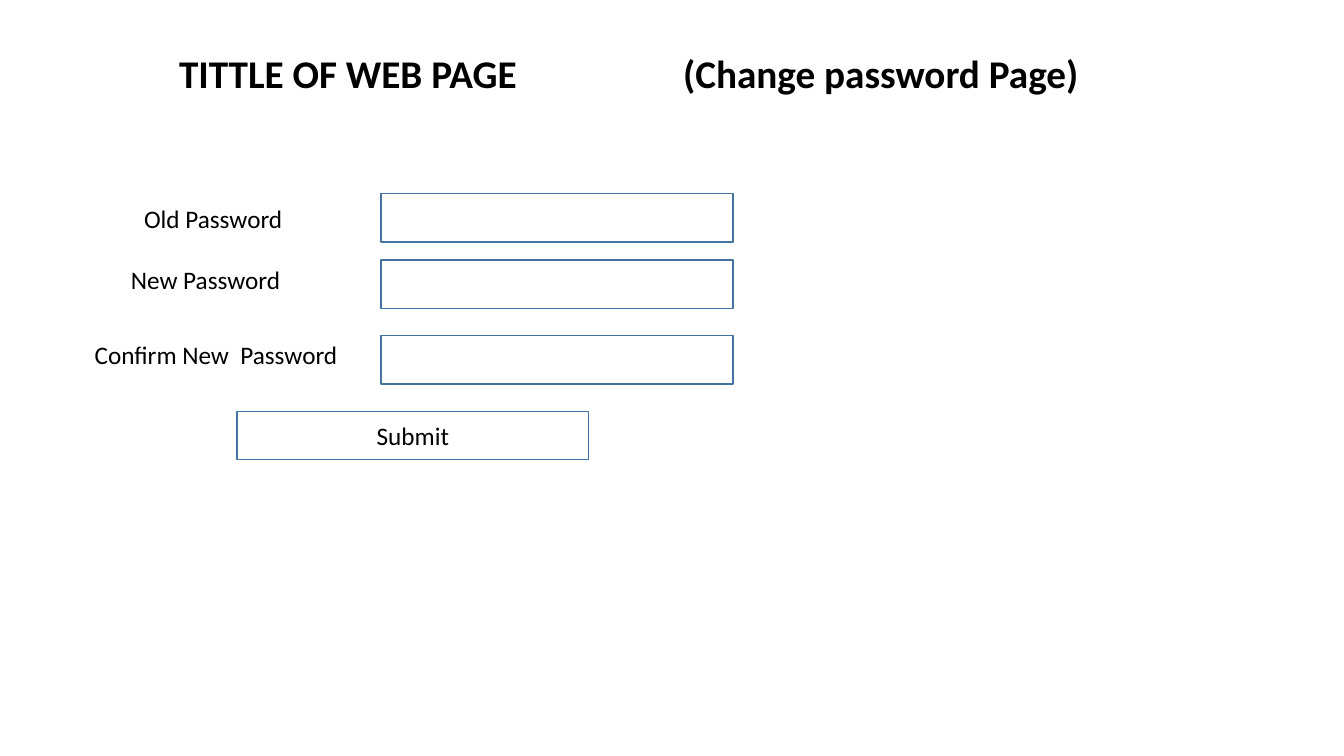
from lxml.etree import SubElement
from pptx import Presentation
from pptx.dml.color import RGBColor
from pptx.enum.shapes import MSO_SHAPE
from pptx.enum.text import MSO_ANCHOR, PP_ALIGN
from pptx.oxml.ns import qn
from pptx.util import Inches, Pt

BLACK = RGBColor(0x00, 0x00, 0x00)
BLUE = RGBColor(0x43, 0x73, 0x9E)
BOX_W, BOX_H = 3.49, 0.48
# label, label left, label top, label width, box top (inches, within the form)
FIELDS = [
    ("Old Password", 0.49, 0.05, 2.22, 0),
    ("New Password", 0.36, 0.65, 2.3, 0.66),
    ("Confirm New  Password", 0, 1.4, 2.67, 1.41),
]


def write(frame, text, size=18, bold=False, align=PP_ALIGN.LEFT):
    """Put one styled line of text in a frame and return its paragraph."""
    frame.word_wrap = True
    frame.text = text
    para = frame.paragraphs[0]
    para.alignment = align
    font = para.font
    font.name, font.size, font.bold = "Calibri", Pt(size), bold
    font.color.rgb = BLACK
    return para


def add_title(slide, left, top, width, height):
    """Place the page title, its two parts set apart by tab stops."""
    title = slide.shapes.title
    title.left, title.top = Inches(left), Inches(top)
    title.width, title.height = Inches(width), Inches(height)
    frame = title.text_frame
    frame.vertical_anchor = MSO_ANCHOR.TOP
    para = write(frame, "TITTLE OF WEB PAGE\t\t(Change password Page)",
                 28, True, PP_ALIGN.CENTER)
    stops = SubElement(para._p.get_or_add_pPr(), qn("a:tabLst"))
    for stop in (4, 5):
        SubElement(stops, qn("a:tab"), pos=str(Inches(stop)), algn="l")


def add_box(slide, left, top):
    """Draw one outlined form box and return it."""
    box = slide.shapes.add_shape(
        MSO_SHAPE.RECTANGLE, Inches(left), Inches(top),
        Inches(BOX_W), Inches(BOX_H))
    box.shadow.inherit = False
    box.fill.background()
    box.line.color.rgb = BLUE
    box.line.width = Pt(1)
    return box


def add_form(slide, left, top):
    """Place the labelled fields and the submit button."""
    for text, x, y, width, box_y in FIELDS:
        label = slide.shapes.add_textbox(
            Inches(left + x), Inches(top + y), Inches(width), Inches(0.4))
        write(label.text_frame, text)
        add_box(slide, left + 2.94, top + box_y)
    button = add_box(slide, left + 1.51, top + 2.16)
    button.text_frame.vertical_anchor = MSO_ANCHOR.MIDDLE
    write(button.text_frame, "Submit", align=PP_ALIGN.CENTER)


def main():
    """Build and save the slide."""
    deck = Presentation()
    deck.slide_width, deck.slide_height = Inches(13.33), Inches(7.5)
    slide = deck.slides.add_slide(deck.slide_layouts[5])
    add_title(slide, 0.45, 0.44, 11.57, 0.57)
    add_form(slide, 0.84, 1.92)
    deck.save("out.pptx")


main()
